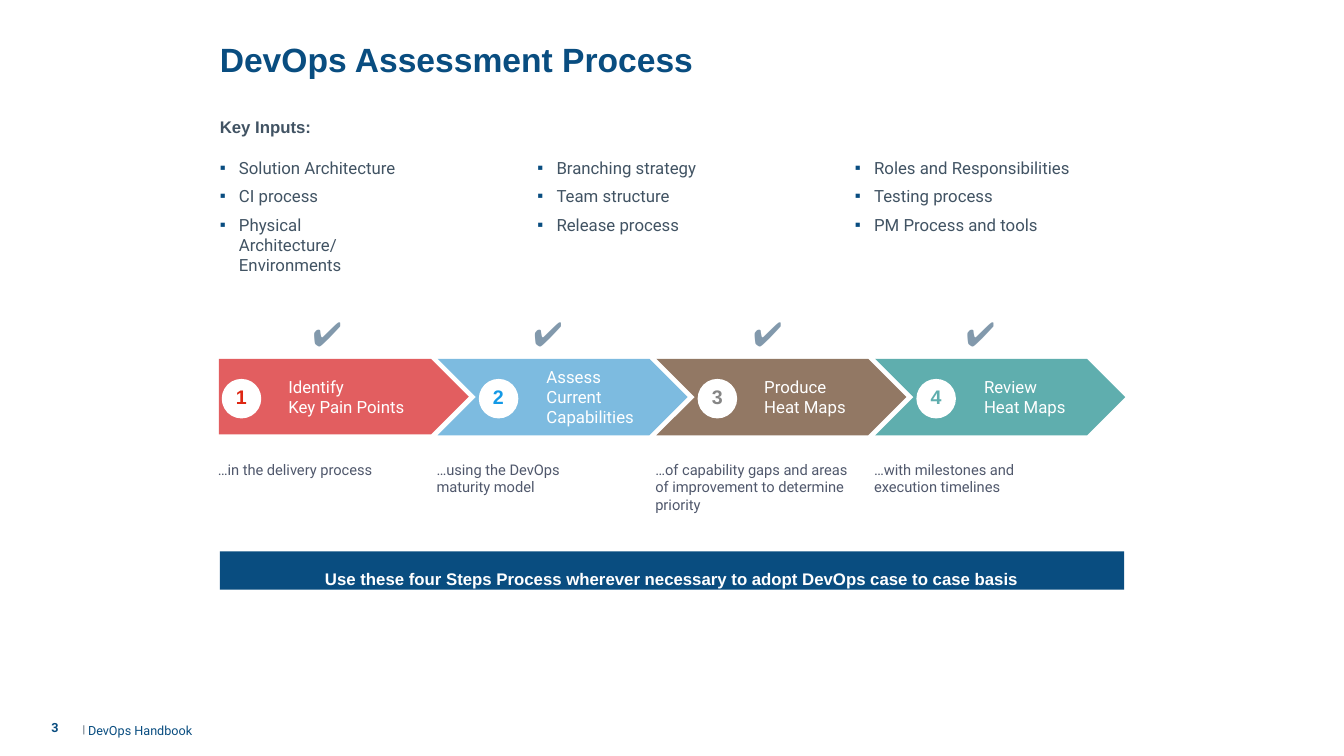
from pptx import Presentation
from pptx.dml.color import RGBColor
from pptx.enum.shapes import MSO_SHAPE
from pptx.enum.text import MSO_ANCHOR, PP_ALIGN
from pptx.oxml.xmlchemy import OxmlElement
from pptx.util import Inches, Pt

CHEVRON = MSO_SHAPE.CHEVRON
PENTAGON = MSO_SHAPE.PENTAGON
OVAL = MSO_SHAPE.OVAL
RECTANGLE = MSO_SHAPE.RECTANGLE
CENTER = PP_ALIGN.CENTER
TOP = MSO_ANCHOR.TOP
MIDDLE = MSO_ANCHOR.MIDDLE

COLORS = {
    "navy": "094D80", "slate": "415363", "caption": "50586C", "check": "8299AC",
    "white": "FFFFFF", "coral": "E25E60", "sky": "7DBBE0", "brown": "927864",
    "teal": "5FAEAE", "red": "DE2713", "blue": "1399E6", "gray": "858585",
}

KEY_INPUTS = [
    (2.17, 1.81, ["Solution Architecture", "CI process",
                  "Physical\nArchitecture/\nEnvironments"]),
    (5.32, 1.6, ["Branching strategy", "Team structure", "Release process"]),
    (8.47, 2.17, ["Roles and Responsibilities", "Testing process",
                  "PM Process and tools"]),
]

STEP_PITCH = 2.17
STEPS = [
    dict(fill="coral", number_color="red", circle_left=2.22,
         label="Identify\nKey Pain Points", label_box=(2.85, 1.2),
         check_indent=0.25, label_indent=0.01, gap=16.9,
         caption="…in the delivery process", caption_width=1.63),
    dict(fill="sky", number_color="blue", circle_left=4.77,
         label="Assess\nCurrent\nCapabilities", label_box=(5.28, 1.05),
         check_indent=0.01, label_indent=0.14, gap=9.7,
         caption="…using the DevOps\nmaturity model", caption_width=1.34),
    dict(fill="brown", number_color="gray", circle_left=6.94,
         label="Produce\nHeat Maps", label_box=(7.46, 0.97),
         check_indent=0.01, label_indent=0.12, gap=16.9,
         caption="…of capability gaps and areas\nof improvement to determine\npriority",
         caption_width=1.99),
    dict(fill="teal", number_color="teal", circle_left=9.11,
         label="Review\nHeat Maps", label_box=(9.57, 1.04),
         check_indent=0.01, label_indent=0.19, gap=16.9,
         caption="…with milestones and\nexecution timelines", caption_width=1.46),
]


def rgb(name):
    """Return the named colour."""
    return RGBColor.from_string(COLORS[name])


def add_run(paragraph, text, size, color, font="Roboto", bold=False):
    """Add one formatted run."""
    run = paragraph.add_run()
    run.text = text
    run.font.size = Pt(size)
    run.font.name = font
    run.font.bold = bold
    run.font.color.rgb = rgb(color)
    return run


def add_lines(paragraph, text, size, color, **style):
    """Add the lines of a text as runs parted by line breaks."""
    for index, line in enumerate(text.split("\n")):
        if index:
            paragraph.add_line_break()
        add_run(paragraph, line, size, color, **style)


def set_frame(frame, top_inset=0.01, anchor=TOP):
    """Set wrapping, insets and anchor of a text frame."""
    frame.word_wrap = True
    frame.margin_left = frame.margin_right = frame.margin_bottom = 0
    frame.margin_top = Inches(top_inset)
    frame.vertical_anchor = anchor


def add_frame(slide, left, top, width, height, **layout):
    """Add a text box and return its frame."""
    box = slide.shapes.add_textbox(Inches(left), Inches(top), Inches(width), Inches(height))
    set_frame(box.text_frame, **layout)
    return box.text_frame


def set_paragraph(paragraph, indent=0.01, before=1.0, first_line=0.0):
    """Set left indent, first line offset and space before."""
    properties = paragraph._p.get_or_add_pPr()
    properties.set("marL", str(Inches(indent)))
    properties.set("indent", str(Inches(first_line)))
    paragraph.space_before = Pt(before)


def add_text(slide, place, text, size, color, before=1.0, anchor=TOP, **style):
    """Add a text box holding one paragraph."""
    paragraph = add_frame(slide, *place, anchor=anchor).paragraphs[0]
    set_paragraph(paragraph, before=before)
    add_lines(paragraph, text, size, color, **style)


def add_solid(slide, kind, left, top, width, height, fill, line_width=0):
    """Add a filled preset shape without shadow."""
    shape = slide.shapes.add_shape(kind, Inches(left), Inches(top), Inches(width), Inches(height))
    shape.shadow.inherit = False
    shape.fill.solid()
    shape.fill.fore_color.rgb = rgb(fill)
    if line_width:
        shape.line.color.rgb = rgb(fill)
        shape.line.width = Pt(line_width)
    else:
        shape.line.fill.background()
    return shape


def add_bullet(paragraph):
    """Give a paragraph a small square bullet."""
    properties = paragraph._p.get_or_add_pPr()
    bullet_color = OxmlElement("a:buClr")
    color = OxmlElement("a:srgbClr")
    color.set("val", COLORS["navy"])
    bullet_color.append(color)
    bullet_font = OxmlElement("a:buFont")
    bullet_font.set("typeface", "Arial")
    bullet = OxmlElement("a:buChar")
    bullet.set("char", "▪")
    properties.extend([bullet_color, bullet_font, bullet])


def add_bullet_list(slide, left, width, items):
    """Add one column of key inputs."""
    height = 0.88 + 0.1 * sum(item.count("\n") for item in items)
    frame = add_frame(slide, left, 1.46, width, height, top_inset=0.1)
    for index, item in enumerate(items):
        paragraph = frame.add_paragraph() if index else frame.paragraphs[0]
        set_paragraph(paragraph, 0.2, 6 if index else 7, -0.19)
        add_bullet(paragraph)
        add_lines(paragraph, item, 12, "slate")


def add_step(slide, index, step):
    """Add an arrow with its number, check mark, label and caption."""
    left = STEP_PITCH * (index + 1)
    add_solid(slide, CHEVRON if index else PENTAGON, left, 3.56, 2.48,
              0.76 if index else 0.75, step["fill"])
    circle_left = step["circle_left"]
    add_solid(slide, OVAL, circle_left, 3.78, 0.35, 0.35, "white", 3)
    add_text(slide, (circle_left + 0.11, 3.81, 0.14, 0.25), str(index + 1), 14,
             step["number_color"], 1.1, font="Arial", bold=True)

    label_left, label_width = step["label_box"]
    frame = add_frame(slide, label_left, 3.09, label_width, 1.06)
    check = frame.paragraphs[0]
    set_paragraph(check, step["check_indent"])
    add_run(check, "✔", 24, "check", font="Karla")
    label = frame.add_paragraph()
    set_paragraph(label, step["label_indent"], step["gap"])
    add_lines(label, step["label"], 12, "white")

    caption_height = 0.19 * (step["caption"].count("\n") + 1)
    add_text(slide, (left - 0.02, 4.56, step["caption_width"] + 0.05, caption_height),
             step["caption"], 10.5, "caption", 1.1)


def add_banner(slide):
    """Add the closing statement bar."""
    banner = add_solid(slide, RECTANGLE, 2.18, 5.47, 8.97, 0.38, "navy")
    set_frame(banner.text_frame, top_inset=0.17)
    paragraph = banner.text_frame.paragraphs[0]
    paragraph.alignment = CENTER
    add_run(paragraph, "Use these four Steps Process wherever necessary to adopt DevOps "
            "case to case basis", 12, "white", font="Arial", bold=True)


def add_footer(slide):
    """Add the page number and the document name."""
    number = add_frame(slide, 0.47, 7.11, 0.3, 0.19, top_inset=0.03).paragraphs[0]
    set_paragraph(number, 0.04, 1.4)
    add_run(number, "3", 9, "navy", bold=True)
    name = add_frame(slide, 0.82, 7.11, 1.4, 0.19, top_inset=0).paragraphs[0]
    set_paragraph(name, 0, 1.4)
    divider = add_run(name, "| ", 13.5, "slate")
    divider.font._element.set("baseline", "9000")
    add_run(name, "DevOps Handbook", 9, "navy")


def main():
    """Build the slide and save it."""
    presentation = Presentation()
    presentation.slide_width = Inches(13.33)
    presentation.slide_height = Inches(7.5)
    slide = presentation.slides.add_slide(presentation.slide_layouts[6])
    add_text(slide, (2.17, 0.37, 4.8, 0.43), "DevOps Assessment Process", 24, "navy",
             anchor=MIDDLE, font="Arial", bold=True)
    add_text(slide, (2.17, 1.15, 1, 0.22), "Key Inputs:", 12, "slate", font="Arial", bold=True)
    for left, width, items in KEY_INPUTS:
        add_bullet_list(slide, left, width, items)
    for index, step in enumerate(STEPS):
        add_step(slide, index, step)
    add_banner(slide)
    add_footer(slide)
    presentation.save("out.pptx")


if __name__ == "__main__":
    main()
